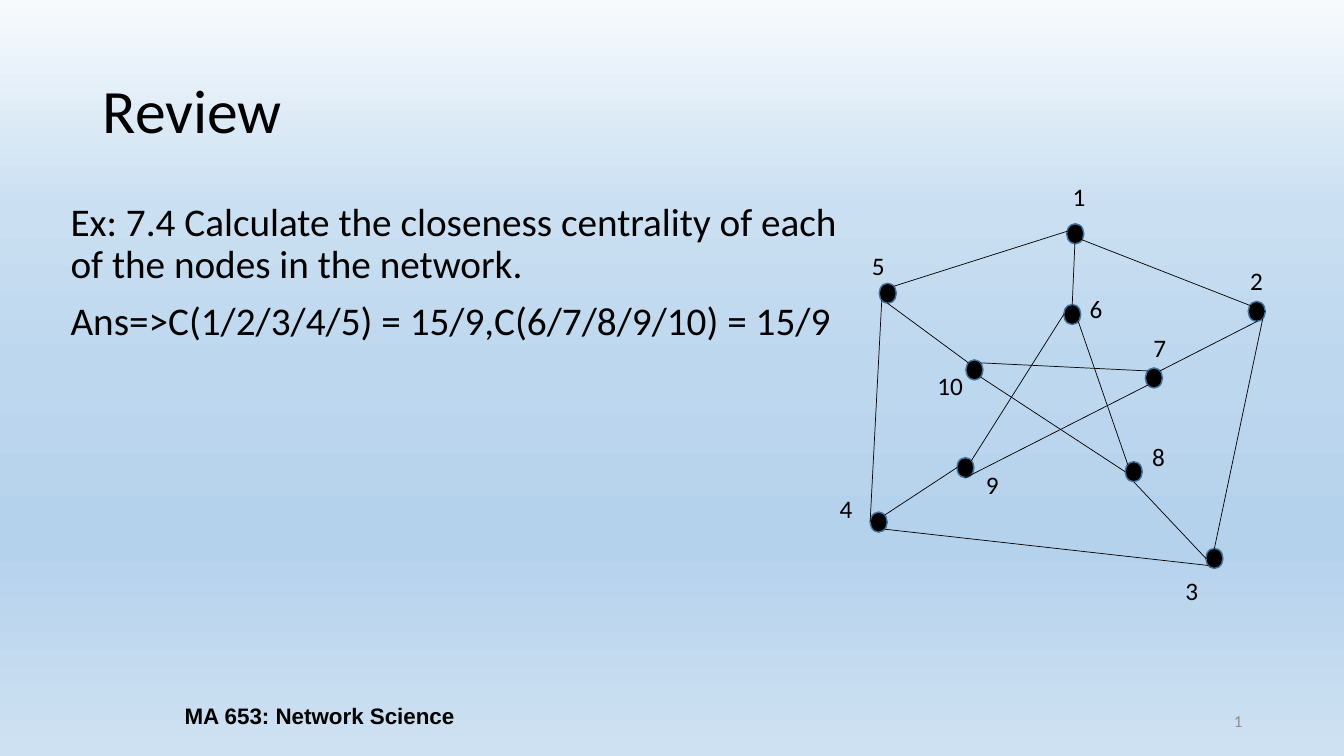
from copy import deepcopy

from pptx import Presentation
from pptx.dml.color import RGBColor
from pptx.enum.shapes import MSO_CONNECTOR, MSO_SHAPE
from pptx.enum.text import MSO_ANCHOR, MSO_AUTO_SIZE, PP_ALIGN
from pptx.oxml.ns import qn
from pptx.util import Inches, Pt

TITLE = "Review"
BODY = [
    "Ex: 7.4 Calculate the closeness centrality of each of the nodes in the network.",
    "Ans=>C(1/2/3/4/5) = 15/9,C(6/7/8/9/10) = 15/9",
]
FOOTER = "MA 653: Network Science"
SLIDE_NUMBER = "8"
BACKGROUND = [(0, "F7FAFD"), (28, "CADFF1"), (49, "BDD7EE"),
              (71, "B5D2EC"), (72, "B5D2EC"), (100, "CEE1F2")]

# node: (left, top of its dot), (left, top of its label)
NODES = {
    1: ((10.58, 2.22), (10.54, 1.75)),
    2: ((12.38, 2.99), (12.3, 2.58)),
    3: ((11.96, 5.44), (11.66, 5.66)),
    4: ((8.63, 5.08), (8.23, 4.84)),
    5: ((8.72, 2.81), (8.55, 2.43)),
    6: ((10.55, 3.02), (10.71, 2.86)),
    7: ((11.36, 3.65), (11.34, 3.25)),
    8: ((11.16, 4.58), (11.33, 4.33)),
    9: ((9.49, 4.54), (9.68, 4.61)),
    10: ((9.58, 3.57), (9.2, 3.62)),
}
# node and compass point of the dot at each end ("C" is its centre)
EDGES = [
    (6, "W", 9, "NE"), (9, "S", 7, "SW"), (7, "NW", 10, "NE"),
    (10, "SE", 8, "W"), (8, "NW", 6, "SE"), (6, "N", 1, "C"),
    (10, "NW", 5, "S"), (9, "W", 4, "NE"), (8, "S", 3, "W"),
    (7, "NE", 2, "S"), (1, "NE", 5, "NE"), (1, "W", 2, "E"),
    (5, "SW", 4, "W"), (4, "SE", 3, "SW"), (2, "SE", 3, "N"),
]
DOT_WIDTH, DOT_HEIGHT = 0.17, 0.2
# compass points as shares of a dot's width and height
SITES = {
    "C": (0.5, 0.5), "N": (0.5, 0), "S": (0.5, 1), "W": (0, 0.5), "E": (1, 0.5),
    "NW": (0.15, 0.15), "NE": (0.85, 0.15), "SW": (0.15, 0.85), "SE": (0.85, 0.85),
}


def rgb(value):
    return RGBColor.from_string(value)


def box(*lengths):
    return [Inches(length) for length in lengths]


def place(shape, *lengths):
    shape.left, shape.top, shape.width, shape.height = box(*lengths)


def format_text(shape, size, font="Calibri", color="000000", bold=False,
                align=PP_ALIGN.LEFT, anchor=MSO_ANCHOR.TOP):
    frame = shape.text_frame
    frame.vertical_anchor = anchor
    for paragraph in frame.paragraphs:
        paragraph.alignment = align
        for run in paragraph.runs:
            run.font.name, run.font.size, run.font.bold = font, Pt(size), bold
            run.font.color.rgb = rgb(color)


def add_text(shapes, text, lengths, wrap=True, **style):
    shape = shapes.add_textbox(*box(*lengths))
    shape.text_frame.word_wrap = wrap
    shape.text_frame.text = text
    format_text(shape, **style)
    return shape


def paint_background(slide):
    fill = slide.background.fill
    fill.gradient()
    fill.gradient_angle = 270
    stops = slide.element.find(".//" + qn("a:gsLst"))
    first = stops[0]
    while len(stops) < len(BACKGROUND):
        stops.append(deepcopy(first))
    for stop, (position, color) in zip(fill.gradient_stops, BACKGROUND):
        stop.position = position / 100
        stop.color.rgb = rgb(color)


def add_title_and_body(slide):
    title, body = slide.placeholders
    place(title, 0.92, 0.4, 11.5, 1.45)
    title.text_frame.text = TITLE
    title.text_frame.paragraphs[0].line_spacing = 0.9
    format_text(title, 44, anchor=MSO_ANCHOR.MIDDLE)

    place(body, 0.6, 1.96, 7.85, 4.76)
    body.text_frame.text = "\n".join(BODY)
    for index, paragraph in enumerate(body.text_frame.paragraphs):
        properties = paragraph._p.get_or_add_pPr()
        properties.set("marL", "0")
        properties.set("indent", "0")
        properties.append(properties.makeelement(qn("a:buNone")))
        paragraph.line_spacing = 0.9
        paragraph.space_before = Pt(10 if index else 0)
    format_text(body, 28)
    for shape in (title, body):
        shape.text_frame.auto_size = MSO_AUTO_SIZE.NONE


def add_footer(slide):
    number = add_text(slide.shapes, SLIDE_NUMBER, (9.42, 6.95, 3, 0.4), size=12,
                      color="8C8C8C", align=PP_ALIGN.RIGHT, anchor=MSO_ANCHOR.MIDDLE)
    field = number.text_frame.paragraphs[0].runs[0]._r
    field.tag = qn("a:fld")
    field.set("id", "{B6F15528-21DE-4FAA-801E-634DDDAF4B2B}")
    field.set("type", "slidenum")
    add_text(slide.shapes, FOOTER, (0.92, 6.9, 4.5, 0.4), size=16, font="Arial",
             bold=True, align=PP_ALIGN.CENTER, anchor=MSO_ANCHOR.MIDDLE)


def site(node, name):
    """Point on a node's dot, as left and top."""
    (left, top), _ = NODES[node]
    across, down = SITES[name]
    return box(left + across * DOT_WIDTH, top + down * DOT_HEIGHT)


def add_network(slide):
    for dot_at, _ in NODES.values():
        dot = slide.shapes.add_shape(MSO_SHAPE.OVAL, *box(*dot_at, DOT_WIDTH, DOT_HEIGHT))
        dot.shadow.inherit = False
        dot.fill.solid()
        dot.fill.fore_color.rgb = rgb("000000")
        dot.line.color.rgb = rgb("43739E")
        dot.line.width = Pt(1)
    for start, start_site, end, end_site in EDGES:
        edge = slide.shapes.add_connector(
            MSO_CONNECTOR.STRAIGHT, *site(start, start_site), *site(end, end_site))
        edge.line.color.rgb = rgb("000000")
        edge.line.width = Pt(0.5)
        properties = edge._element.spPr
        properties.append(properties.makeelement(qn("a:effectLst")))
    labels = slide.shapes.add_group_shape()
    for node, (_, label_at) in NODES.items():
        width = 0.33 if node < 10 else 0.46
        label = add_text(labels.shapes, str(node), (*label_at, width, 0.4),
                         wrap=False, size=18)
        label.text_frame.auto_size = MSO_AUTO_SIZE.SHAPE_TO_FIT_TEXT


def main():
    presentation = Presentation()
    presentation.slide_width, presentation.slide_height = box(13.33, 7.5)
    slide = presentation.slides.add_slide(presentation.slide_layouts[1])
    paint_background(slide)
    add_title_and_body(slide)
    add_footer(slide)
    add_network(slide)
    presentation.save("out.pptx")


if __name__ == "__main__":
    main()
